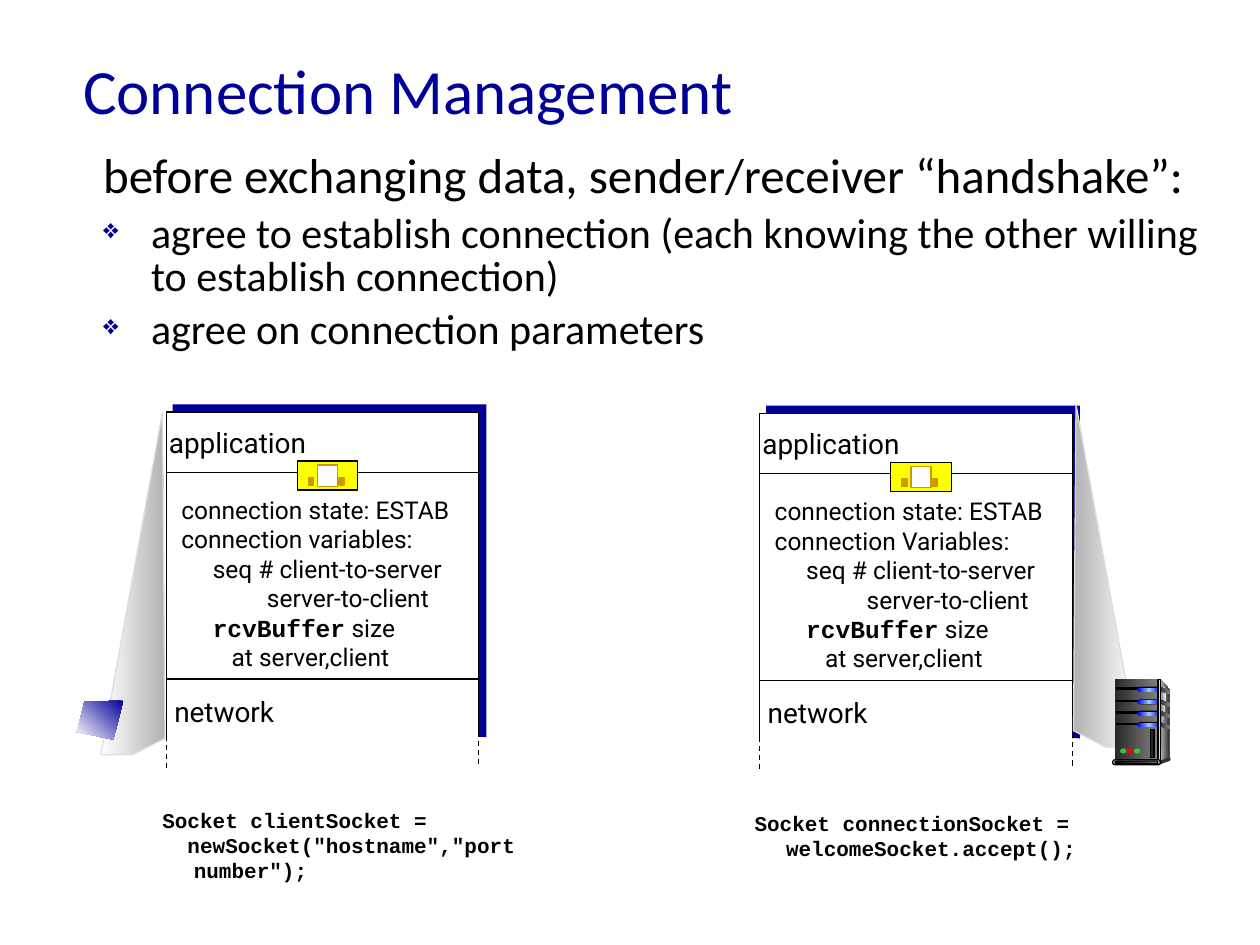
"""Build the slide on connection management between a client and a server."""
from dataclasses import dataclass

from lxml import etree
from pptx import Presentation
from pptx.dml.color import RGBColor
from pptx.enum.dml import MSO_LINE
from pptx.enum.shapes import MSO_CONNECTOR, MSO_SHAPE
from pptx.enum.text import MSO_ANCHOR, PP_ALIGN
from pptx.oxml.ns import qn
from pptx.util import Cm, Pt

RECT, PILL, OVAL = MSO_SHAPE.RECTANGLE, MSO_SHAPE.ROUNDED_RECTANGLE, MSO_SHAPE.OVAL
STRAIGHT, DASH = MSO_CONNECTOR.STRAIGHT, MSO_LINE.DASH
LEFT, CENTER, MIDDLE = PP_ALIGN.LEFT, PP_ALIGN.CENTER, MSO_ANCHOR.MIDDLE


@dataclass(frozen=True)
class Theme:
    """Fonts, colours and type sizes."""
    serif: str = "Calibri"
    sans: str = "Roboto"
    mono: str = "Courier New"
    black: str = "000000"
    white: str = "FFFFFF"
    navy: str = "000099"
    gold: str = "CC9900"
    yellow: str = "FFFF00"
    green: str = "33CC33"
    red: str = "FF0000"
    coal: str = "292929"
    dark: str = "333333"
    mid: str = "808080"
    soft: str = "B2B2B2"
    pale: str = "DDDDDD"
    blue: str = "0000FF"
    sky: str = "99CCFF"
    title: int = 36
    lead: int = 28
    point: int = 24
    label: int = 16
    state: int = 14
    code: int = 12


def inch(value):
    """Turn inches into a length."""
    return Cm(value * 2.54)


class Pen:
    """Draw elements on the current slide in one style."""

    def __init__(self, slide, theme):
        self.slide, self.theme = slide, theme
        self.home = slide.shapes

    def group(self):
        """Send the next shapes to a new group."""
        self.home = self.slide.shapes.add_group_shape().shapes

    def leave(self):
        """Send the next shapes to the slide."""
        self.home = self.slide.shapes

    def paint(self, shape, fill, line=None, angle=0):
        """Give a shape a plain fill or a gradient, and a line."""
        shape.shadow.inherit = False
        if isinstance(fill, str):
            shape.fill.solid()
            shape.fill.fore_color.rgb = RGBColor.from_string(fill)
        else:
            shape.fill.gradient()
            grad = shape.fill._xPr.find(qn("a:gradFill"))
            stops = grad.find(qn("a:gsLst"))
            for old in list(stops):
                stops.remove(old)
            for i, color in enumerate(fill):
                place = str(100000 * i // (len(fill) - 1))
                stop = etree.SubElement(stops, qn("a:gs"), pos=place)
                etree.SubElement(stop, qn("a:srgbClr"), val=color)
            grad.find(qn("a:lin")).set("ang", str(angle * 60000))
        if line:
            shape.line.color.rgb = RGBColor.from_string(line)
            shape.line.width = Pt(0.75)
        else:
            shape.line.fill.background()

    def shape(self, kind, x, y, w, h, fill, line=None):
        """Add a preset shape."""
        item = self.home.add_shape(kind, inch(x), inch(y), inch(w), inch(h))
        if kind == PILL:
            item.adjustments[0] = 0.5
        self.paint(item, fill, line)

    def outline(self, points, fill, line=None, angle=0):
        """Add a closed outline through the points."""
        spots = [(inch(x), inch(y)) for x, y in points]
        build = self.home.build_freeform(*spots[0])
        build.add_line_segments(spots[1:])
        self.paint(build.convert_to_shape(), fill, line, angle)

    def rule(self, x, y, w, h, dash=None):
        """Add a thin black line."""
        item = self.home.add_connector(STRAIGHT, inch(x), inch(y), inch(x + w), inch(y + h))
        item.line.color.rgb = RGBColor.from_string(self.theme.black)
        item.line.width = Pt(0.75)
        item.line.dash_style = dash
        etree.SubElement(item._element.spPr, qn("a:effectLst"))

    def style(self, run, font, size, color, bold=False):
        """Format one run."""
        run.font.name, run.font.size, run.font.bold = font, Pt(size), bold
        run.font.color.rgb = RGBColor.from_string(color)

    def title(self, text, x, y, w, h):
        """Fill and place the title."""
        item = self.slide.shapes.title
        item.left, item.top, item.width, item.height = map(inch, (x, y, w, h))
        frame = item.text_frame
        frame.text, frame.vertical_anchor = text, MIDDLE
        frame.paragraphs[0].alignment = LEFT
        self.style(frame.paragraphs[0].runs[0], self.theme.serif, self.theme.title, self.theme.navy)

    def text(self, rows, x, y, w, h, font, size, bold=False, hang=0, wrap=True):
        """Add a text box of (text, indent) rows."""
        frame = self.home.add_textbox(inch(x), inch(y), inch(w), inch(h)).text_frame
        frame.word_wrap = wrap
        frame.text = "\n".join(text for text, _ in rows)
        for para, (_, left) in zip(frame.paragraphs, rows):
            para.alignment = LEFT if wrap else CENTER
            props = para._p.get_or_add_pPr()
            props.set("marL", str(inch(left)))
            props.set("indent", str(inch(-hang)))
            self.style(para.runs[0], font, size, self.theme.black, bold)
        return frame

    def body(self, lead, points):
        """Add the lead line and its bulleted points."""
        look = self.theme
        rows = [(text, 0.38) for text in [lead, *points]]
        frame = self.text(rows, 0.72, 1.17, 9.12, 2.39, look.serif, look.point, hang=0.38)
        first, *rest = frame.paragraphs
        first.line_spacing = 0.85
        first.runs[0].font.size = Pt(look.lead)
        for para in rest:
            props = para._p.get_or_add_pPr()
            color = etree.SubElement(props, qn("a:buClr"))
            etree.SubElement(color, qn("a:srgbClr"), val=look.navy)
            etree.SubElement(props, qn("a:buSzPct"), val="65000")
            etree.SubElement(props, qn("a:buChar"), char="❖")
            para.line_spacing, para.space_before = 0.85, Pt(6)

    def socket(self, x, y):
        """Add the small socket sign."""
        look = self.theme
        self.group()
        self.shape(RECT, x, y, 0.48, 0.23, look.yellow, look.black)
        self.shape(RECT, x + 0.16, y + 0.03, 0.16, 0.17, look.white, look.gold)
        for step in (0.09, 0.33):
            self.shape(RECT, x + step, y + 0.13, 0.04, 0.06, look.gold, look.gold)
        self.leave()

    def stack(self, x, y, word, shift):
        """Add one host's protocol stack."""
        look = self.theme
        self.shape(RECT, x + 0.05, y - 0.06, 2.49, 2.64, look.navy)
        self.shape(RECT, x, y, 2.48, 2.7, look.white, look.black)
        self.rule(x, y + 0.48, 2.48, 0)
        rows = [("connection state: ESTAB", 0), (f"connection {word}:", 0),
                ("seq # client-to-server", 0.25), ("server-to-client", shift),
                ("rcvBuffer", 0.25), ("at server,client", 0.4)]
        frame = self.text(rows, x + 0.02, y + 0.61, 2.55, 1.74, look.sans, look.state)
        para = frame.paragraphs[4]
        self.style(para.runs[0], look.mono, look.state, look.black, True)
        tail = para.add_run()
        tail.text = " size"
        self.style(tail, look.sans, look.state, look.black)
        self.socket(x + 1.04, y + 0.39)
        self.rule(x, y + 2.12, 2.48, 0)
        for name, left, top, wide in (("application", -0.11, 0.06, 1.35), ("network", -0.07, 2.19, 1.06)):
            self.text([(name, 0)], x + left, y + top, wide, 0.37, look.sans, look.label, wrap=False)
        self.shape(RECT, x - 0.03, y + 2.58, 2.55, 0.2, look.white)
        self.rule(x, y + 2.57, 0, 0.26, DASH)
        self.rule(x + 2.48, y + 2.54, 0, 0.26, DASH)

    def cone(self, x, y, side, fill):
        """Add the beam that joins a host to its stack."""
        spots = ((0, 2.72), (0.49, 0), (0.51, 2.59), (0.25, 2.72))
        self.outline([(x + side * dx, y + dy) for dx, dy in spots], fill, self.theme.pale)

    def server(self):
        """Add the server tower."""
        look = self.theme
        face, glow = (look.coal, look.mid), (look.blue, look.sky, look.blue)
        self.group()
        self.outline([(9.21, 5.39), (9.28, 5.47), (9.28, 6.01), (9.19, 6.04)], (look.pale, look.dark))
        self.shape(RECT, 8.85, 5.39, 0.34, 0.65, face)
        self.outline([(9.21, 5.43), (9.26, 5.48), (9.22, 5.8), (9.21, 6.04)], (look.mid, look.white))
        for y in (5.45, 5.55, 5.64, 5.73):
            self.shape(RECT, 8.86, y + 0.01, 0.19, 0.01, look.black, look.black)
            self.shape(PILL, 9.03, y, 0.19, 0.04, look.black)
            self.shape(PILL, 9.03, y + 0.01, 0.18, 0.03, glow)
            self.outline([(9.2, y), (9.28, y + 0.03), (9.28, y + 0.06), (9.2, y + 0.03)], face)
        self.shape(RECT, 9.19, 5.39, 0.02, 0.65, (look.dark, look.pale, look.dark), look.black)
        self.shape(OVAL, 9.27, 6.01, 0.02, 0.03, look.dark)
        self.outline([(9.2, 6.04), (9.2, 6.07), (9.28, 6.04), (9.28, 6.01)], look.dark)
        self.shape(PILL, 8.83, 6.03, 0.38, 0.04, look.pale, look.black)
        self.shape(PILL, 8.85, 6.04, 0.34, 0.02, (look.black, look.mid), look.black)
        for x, color in ((8.89, look.green), (8.94, look.red), (9, look.green)):
            self.shape(OVAL, x, 5.94, 0.05, 0.04, color)
        self.shape(RECT, 9.13, 5.79, 0.03, 0.22, look.coal, look.black)
        self.leave()


def main():
    """Build and save the slide."""
    deck = Presentation()
    deck.slide_width, deck.slide_height = inch(10), inch(7.5)
    look = Theme()
    pen = Pen(deck.slides.add_slide(deck.slide_layouts[5]), look)
    pen.title("Connection Management", 0.56, 0.21, 8.5, 1)
    pen.body("before exchanging data, sender/receiver “handshake”:",
             ["agree to establish connection (each knowing the other willing to establish connection)",
              "agree on connection parameters"])
    pen.stack(1.32, 3.27, "variables", 0.68)
    pen.cone(0.8, 3.27, 1, (look.white, look.soft))
    pen.stack(6.03, 3.28, "Variables", 0.73)
    pen.cone(9.03, 3.21, -1, (look.soft, look.white))
    client = ["Socket clientSocket =", '  newSocket("hostname","port number");']
    host = ["Socket connectionSocket = welcomeSocket.accept();"]
    for rows, x, y, h in ((client, 1.19, 6.36, 0.7), (host, 5.89, 6.38, 0.5)):
        pen.text([(row, 0.25) for row in rows], x, y, 3.16, h, look.mono, look.code, True, 0.25)
    pen.outline([(0.98, 5.56), (0.67, 5.57), (0.61, 5.81), (0.9, 5.87)], (look.navy, look.white), angle=135)
    pen.server()
    deck.save("out.pptx")


if __name__ == "__main__":
    main()
